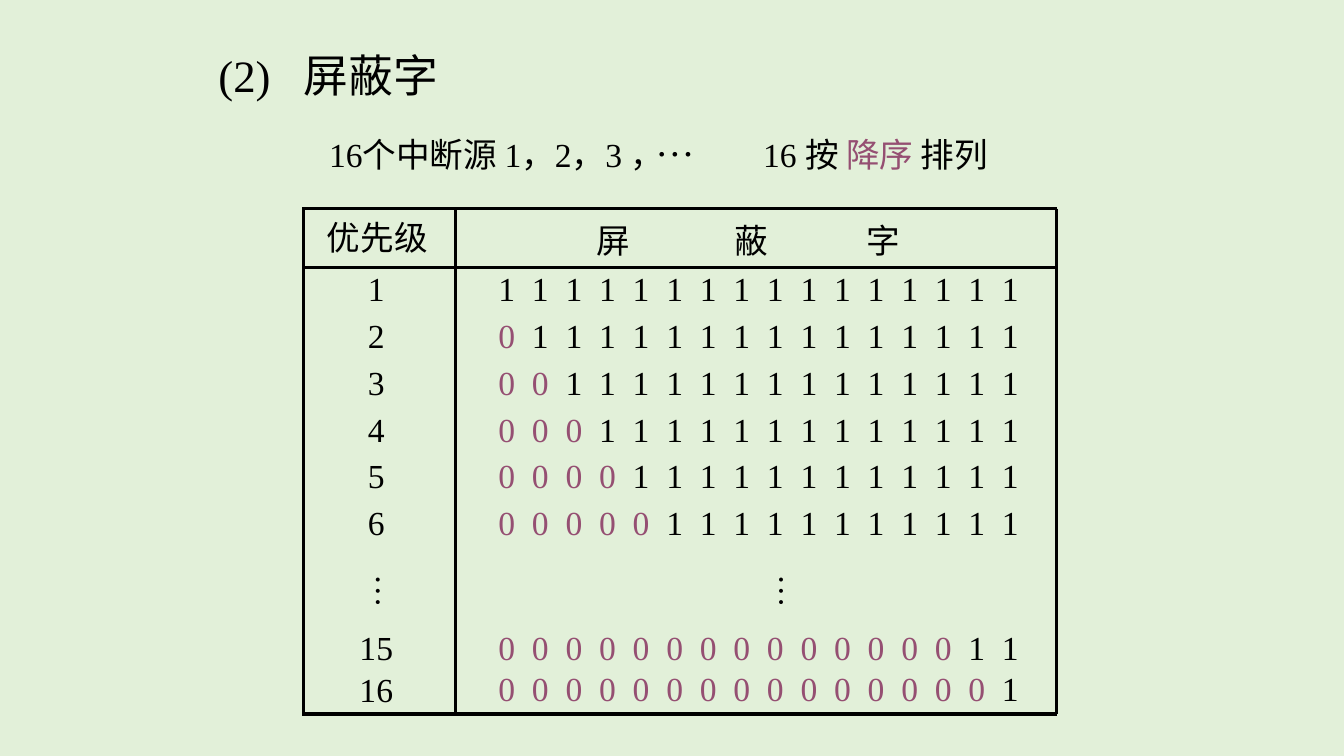
from lxml import etree
from pptx import Presentation
from pptx import util as u
from pptx.dml import color
from pptx.enum import shapes, text
from pptx.oxml import ns

Pt = u.Pt
HUES = {"back": "E2F0D9", "ink": "000000", "mark": "954F72"}
FONT = "Times New Roman"
BITS = 16
ROWS = [1, 2, 3, 4, 5, 6, None, 15, 16]
TALL = [42, 33] + [33.5] * 5 + [58, 29, 31.5]
STYLE = "{2D5ABB26-0587-4C30-8999-92F81FD0307C}"
MID = text.MSO_ANCHOR.MIDDLE
MIDST = text.PP_ALIGN.CENTER


def rgb(hue):
    return color.RGBColor.from_string(HUES[hue])


def write(frame, words, size=24, hue="ink", align=None, tabs=()):
    para = frame.paragraphs[0]
    if align is not None:
        para.alignment = align
    if tabs:
        stops = etree.SubElement(para._p.get_or_add_pPr(), ns.qn("a:tabLst"))
        for stop in tabs:
            etree.SubElement(stops, ns.qn("a:tab"), pos=str(Pt(stop)), algn="l")
    run = para.add_run()
    run.text = words
    run.font.size = Pt(size)
    run.font.name = FONT
    run.font.color.rgb = rgb(hue)


def box(slide, x, y, w, h, pad=True, wrap=True):
    frame = slide.shapes.add_textbox(Pt(x), Pt(y), Pt(w), Pt(h)).text_frame
    frame.word_wrap = wrap
    if not pad:
        frame.margin_left = frame.margin_right = 0
        frame.margin_top = frame.margin_bottom = 0
    return frame


def rule(slide, *ends):
    line = slide.shapes.add_connector(
        shapes.MSO_CONNECTOR.STRAIGHT, *[Pt(end) for end in ends])
    line.line.width = Pt(2.25)
    line.line.color.rgb = rgb("ink")
    etree.SubElement(line._element.spPr, ns.qn("a:effectLst"))


def title(slide, x, y, w, h):
    frame = box(slide, x, y, w, h, pad=False)
    frame.vertical_anchor = MID
    write(frame, "(2)\t屏蔽字", size=32, tabs=[61])


def intro(slide, x, y, w, h):
    frame = box(slide, x, y, w, h)
    write(frame, "16个中断源 1，2，3 ，", tabs=[310])
    write(frame, "\t", size=32)
    write(frame, "16 按 ")
    write(frame, "降序 ", hue="mark")
    write(frame, "排列")
    write(box(slide, x + 233, y - 4, 68, 41), "…", size=28)


def dots(slide, mid, y):
    frame = box(slide, mid - 22, y - 17.5, 44, 32, wrap=False)
    frame._txBody.bodyPr.set("vert", "eaVert")
    write(frame, "…")


def clear(cell):
    cell.margin_left = cell.margin_right = 0
    cell.margin_top = cell.margin_bottom = 0
    cell.vertical_anchor = MID
    cell.fill.background()


def masks(slide, x, y, w):
    step, lead, first = 24, 24.5, 109
    high = sum(TALL)
    wide = [first, lead + step] + [step] * (BITS - 2)
    wide.append(w - sum(wide))
    grid = slide.shapes.add_table(
        len(TALL), len(wide), Pt(x), Pt(y), Pt(w), Pt(high)).table
    grid.first_row = grid.horz_banding = False
    grid._tbl.tblPr.find(ns.qn("a:tableStyleId")).text = STYLE
    for col, size in zip(grid.columns, wide):
        col.width = Pt(size)
    for line, size in zip(grid.rows, TALL):
        line.height = Pt(size)
    for cell in grid.iter_cells():
        clear(cell)

    rank_head, head = grid.cell(0, 0), grid.cell(0, 1)
    rank_head.margin_right = rank_head.margin_bottom = Pt(3)
    write(rank_head.text_frame, "优先级", align=MIDST)
    head.merge(grid.cell(0, BITS))
    head.margin_left = Pt(100.5)
    head.margin_top = Pt(1)
    write(head.text_frame, "屏\t蔽\t字", tabs=[99, 193])

    for row, rank in enumerate(ROWS, 1):
        if rank is None:
            level = y + sum(TALL[:row]) + TALL[row] / 2
            dots(slide, x + 58, level)
            dots(slide, x + 346, level)
            continue
        for col in range(BITS + 1):
            cell = grid.cell(row, col)
            if row == len(ROWS):
                cell.margin_bottom = Pt(3 if col else 1)
            if col == 0:
                cell.margin_right = Pt(4.5)
                write(cell.text_frame, str(rank), align=MIDST)
                continue
            if col == 1:
                cell.margin_left = Pt(lead)
            if col == BITS:
                cell.margin_right = Pt(wide[-1] - step)
            bit, hue = ("0", "mark") if col < rank else ("1", "ink")
            write(cell.text_frame, bit, hue=hue, align=MIDST)

    for level in (y, y + TALL[0], y + high):
        rule(slide, x - 0.5, level, x + w + 0.5, level)
    for side in (x, x + first, x + w):
        rule(slide, side, y, side, y + high)


deck = Presentation()
deck.slide_width, deck.slide_height = Pt(960), Pt(540)
slide = deck.slides.add_slide(deck.slide_layouts[6])
slide.background.fill.solid()
slide.background.fill.fore_color.rgb = rgb("back")
title(slide, 156, 36, 425, 34)
intro(slide, 228, 84.2, 534, 45)
masks(slide, 216.5, 149, 538)
deck.save("out.pptx")
